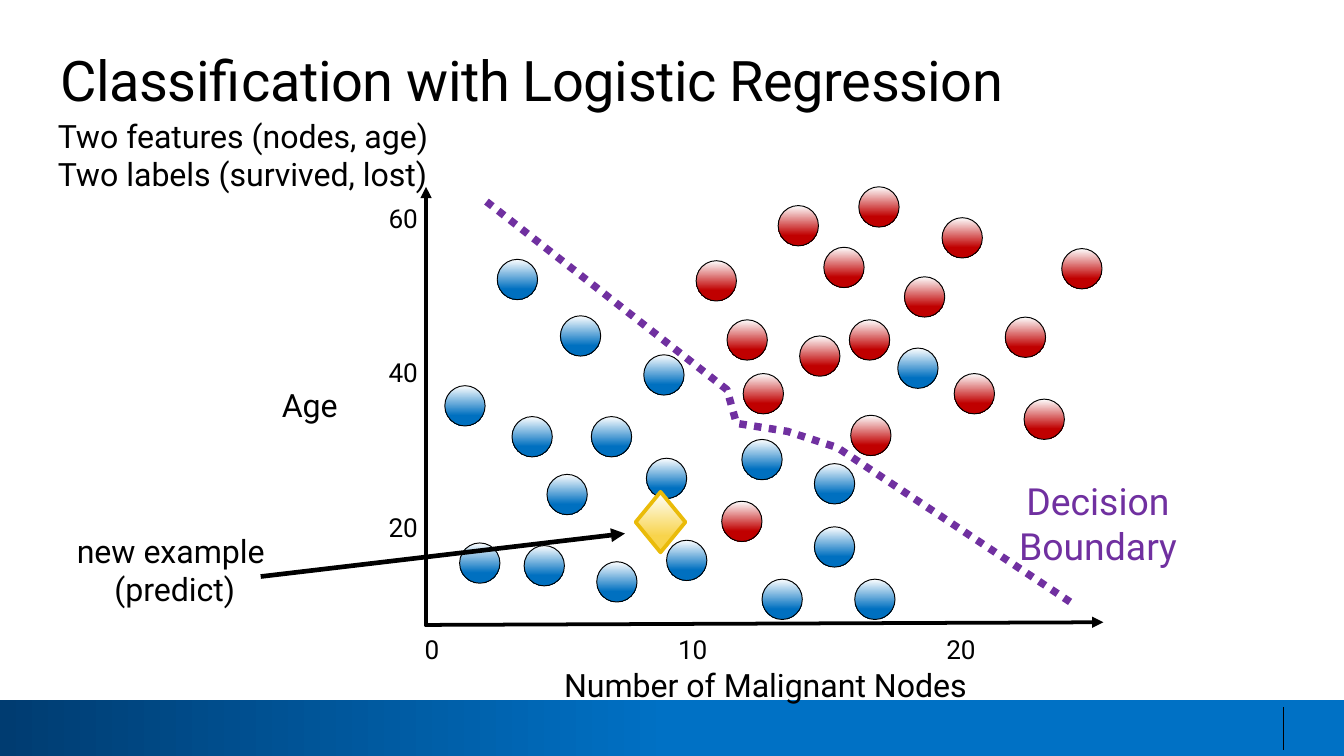
from dataclasses import dataclass

import pptx
import pptx.dml.color
import pptx.enum.dml
import pptx.enum.shapes
import pptx.enum.text
import pptx.oxml
import pptx.oxml.ns
import pptx.util

PX = 9144  # EMU in one px, at 100 px to the inch
FONT = "Roboto"
BALL = 30
INDENT = 1

COLORS = {
    "ink": "000000",
    "navy": "003C71",
    "band": "0071C5",
    "shine": "FEFFFF",
    "lost": "C00000",
    "survived": "0070C0",
    "example": "F8D44C",
    "example_edge": "EABB09",
    "boundary": "7030A0",
}

Align = pptx.enum.text.PP_ALIGN
Anchor = pptx.enum.text.MSO_ANCHOR
Preset = pptx.enum.shapes.MSO_SHAPE


@dataclass
class Label:
    lines: list[str]
    left: int
    top: int
    width: int
    height: int
    size: float = 17.2
    align: Align = Align.CENTER
    anchor: Anchor = Anchor.MIDDLE
    leading: float | None = None
    color: str = "ink"


@dataclass
class Line:
    start: tuple[int, int]
    end: tuple[int, int]
    weight: float
    arrow: bool = True


@dataclass
class Marker:
    preset: Preset
    left: int
    top: int
    width: int
    height: int
    stops: tuple[tuple[str, float], tuple[str, float]]
    angle: int = 270
    edge: str | None = "ink"
    weight: float = 0.5


def px(*lengths: int) -> list[pptx.util.Emu]:
    return [pptx.util.Emu(length * PX) for length in lengths]


def rgb(name: str) -> pptx.dml.color.RGBColor:
    return pptx.dml.color.RGBColor.from_string(COLORS[name])


def write(shape, label: Label) -> None:
    """Place a text shape and fill it with the label's lines."""
    shape.left, shape.top, shape.width, shape.height = px(
        label.left, label.top, label.width, label.height)
    frame = shape.text_frame
    frame.word_wrap = True
    frame.auto_size = pptx.enum.text.MSO_AUTO_SIZE.SHAPE_TO_FIT_TEXT
    frame.vertical_anchor = label.anchor
    frame.margin_left = frame.margin_right = frame.margin_top = frame.margin_bottom = 0
    frame.text = "\n".join(label.lines)
    for paragraph in frame.paragraphs:
        paragraph.alignment = label.align
        if label.leading:
            paragraph.line_spacing = pptx.util.Pt(label.leading)
        paragraph.font.name = FONT
        paragraph.font.size = pptx.util.Pt(label.size)
        paragraph.font.color.rgb = rgb(label.color)
        properties = paragraph._p.get_or_add_pPr()
        properties.set("marL", str(INDENT * PX))
        properties.set("indent", "0")


def add_label(slide, label: Label) -> None:
    write(slide.shapes.add_textbox(0, 0, 0, 0), label)


def add_line(slide, line: Line) -> None:
    connector = slide.shapes.add_connector(
        pptx.enum.shapes.MSO_CONNECTOR.STRAIGHT, *px(*line.start, *line.end))
    connector.line.color.rgb = rgb("ink")
    connector.line.width = pptx.util.Pt(line.weight)
    if line.arrow:
        tail = pptx.oxml.parse_xml(
            f'<a:tailEnd {pptx.oxml.ns.nsdecls("a")} type="triangle"/>')
        connector.line._get_or_add_ln().append(tail)
    connector._element.spPr.append(
        pptx.oxml.parse_xml(f'<a:effectLst {pptx.oxml.ns.nsdecls("a")}/>'))


def add_marker(slide, marker: Marker) -> None:
    """Draw a preset shape with a two-stop gradient."""
    shape = slide.shapes.add_shape(
        marker.preset, *px(marker.left, marker.top, marker.width, marker.height))
    shape.shadow.inherit = False
    shape.fill.gradient()
    shape.fill.gradient_angle = marker.angle
    for stop, (color, position) in zip(shape.fill.gradient_stops, marker.stops):
        stop.color.rgb = rgb(color)
        stop.position = position
    if marker.edge:
        shape.line.color.rgb = rgb(marker.edge)
        shape.line.width = pptx.util.Pt(marker.weight)
    else:
        shape.line.fill.background()


def add_boundary(slide, points: list[tuple[int, int]]) -> None:
    builder = slide.shapes.build_freeform(*points[0], scale=PX)
    builder.add_line_segments(points[1:], close=False)
    boundary = builder.convert_to_shape()
    boundary.shadow.inherit = False
    boundary.fill.background()
    boundary.line.color.rgb = rgb("boundary")
    boundary.line.width = pptx.util.Pt(4)
    boundary.line.dash_style = pptx.enum.dml.MSO_LINE.ROUND_DOT


PATIENTS = {
    "lost": [
        (537, 373), (633, 309), (553, 278), (541, 238), (518, 194), (579, 153),
        (613, 184), (632, 238), (595, 250), (673, 206), (639, 139), (701, 162),
        (790, 185), (748, 236), (710, 278), (762, 297),
    ],
    "survived": [
        (481, 341), (440, 310), (479, 264), (552, 327), (606, 345), (668, 259),
        (606, 392), (567, 431), (636, 431), (496, 402), (444, 418), (390, 406),
        (342, 404), (407, 353), (381, 310), (417, 235), (331, 287), (370, 193),
    ],
}
AXIS_TITLES = [
    Label(["Number of Malignant Nodes"], 388, 484, 362, 38, anchor=Anchor.TOP, leading=28.5),
    Label(["Age"], 192, 276, 76, 38, anchor=Anchor.TOP, leading=28.5),
]
AGE_TICKS = [
    Label([str(60 - 20 * row)], 286, 136 + 115 * row, 25, 36, 14, Align.RIGHT, leading=28.5)
    for row in range(3)
]
NODE_TICKS = [
    Label([nodes], left, 457, width, 36, 14, leading=28.5)
    for nodes, left, width in [("0", 311, 20), ("10", 500, 30), ("20", 699, 31)]
]
AXES = [Line((317, 466), (317, 139), 2), Line((316, 465), (821, 463), 2)]
BOUNDARY = [(362, 150), (541, 290), (548, 315), (586, 321), (623, 333), (798, 449)]


def main() -> None:
    deck = pptx.Presentation()
    deck.slide_width, = px(1000)
    deck.slide_height = pptx.util.Emu(deck.slide_width * 9 // 16)
    slide = deck.slides.add_slide(deck.slide_layouts[5])

    title = slide.shapes.title
    write(title, Label(["Classification with Logistic Regression"], 44, 34, 923, 50,
                       30, Align.LEFT, Anchor.TOP))
    title.text_frame.paragraphs[0].runs[0].font._element.set("spc", "-25")

    add_marker(slide, Marker(Preset.RECTANGLE, 0, 521, 1000, 42,
                             (("navy", 0), ("band", 0.5)), angle=0, edge=None))
    add_line(slide, Line((955, 526), (955, 558), 0.75, arrow=False))

    for label in AXIS_TITLES + AGE_TICKS + NODE_TICKS:
        add_label(slide, label)
    for axis in AXES:
        add_line(slide, axis)

    for outcome, places in PATIENTS.items():
        for left, top in places:
            add_marker(slide, Marker(Preset.OVAL, left, top, BALL, BALL,
                                     (("shine", 0), (outcome, 0.74))))

    add_label(slide, Label(["Two features (nodes, age)", "Two labels (survived, lost)"],
                           42, 86, 328, 58, align=Align.LEFT))
    add_marker(slide, Marker(Preset.DIAMOND, 473, 366, 37, 45,
                             (("shine", 0), ("example", 0.73)),
                             edge="example_edge", weight=2))
    add_label(slide, Label(["new example ", "(predict)"], 45, 395, 169, 58))
    add_line(slide, Line((194, 429), (465, 397), 2.5))
    add_boundary(slide, BOUNDARY)
    add_label(slide, Label(["Decision Boundary"], 736, 356, 161, 67, 20, color="boundary"))

    deck.save("out.pptx")


if __name__ == "__main__":
    main()
